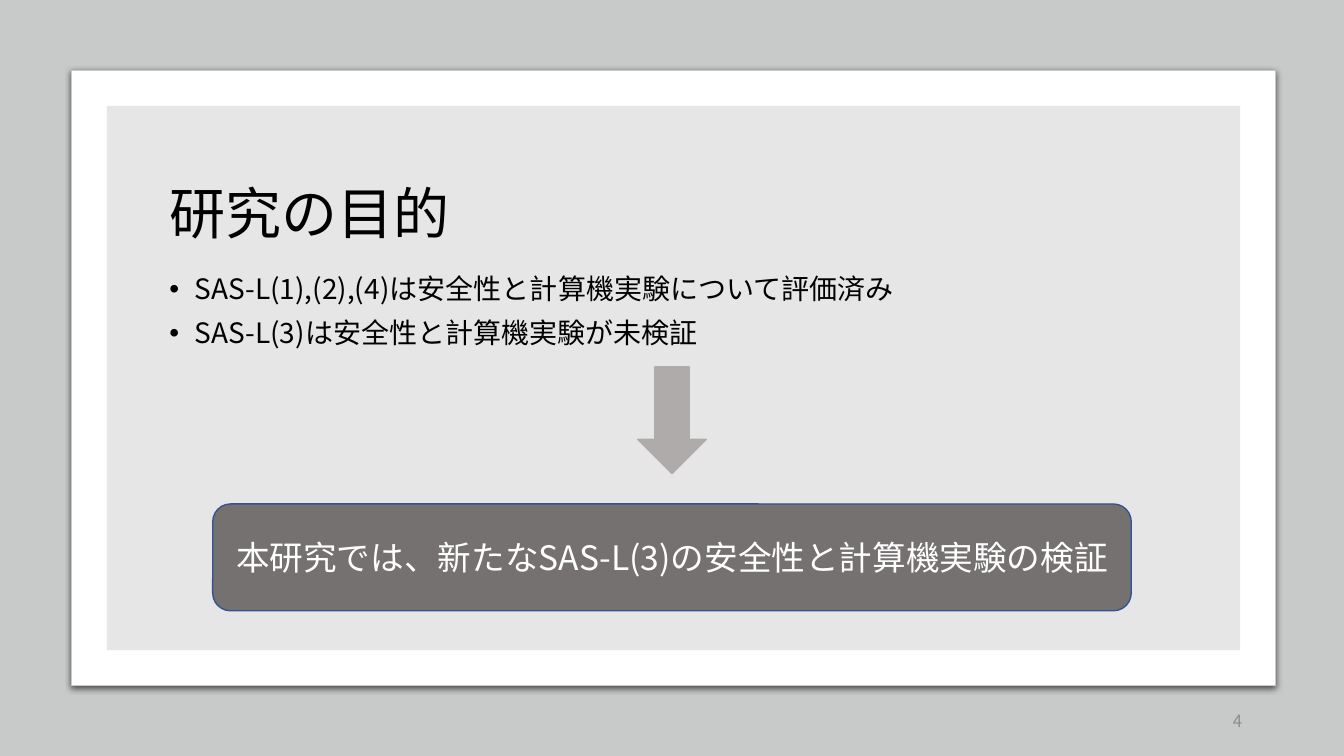
"""Build the research purpose slide: framed panel, two findings, an arrow and the conclusion."""
from lxml import etree
from pptx import Presentation, util as u
from pptx.dml.color import RGBColor
from pptx.enum import shapes, text
from pptx.oxml.ns import qn

TITLE = "研究の目的"
FINDINGS = [
    "SAS-L(1),(2),(4)は安全性と計算機実験について評価済み",
    "SAS-L(3)は安全性と計算機実験が未検証",
]
CONCLUSION = "本研究では、新たなSAS-L(3)の安全性と計算機実験の検証"
PAGE = "4"
FONT = "Noto Sans CJK JP"
W, H = 13.33, 7.5
INSET = 0.35
FRAME = (0.71, 0.7, 11.94, 6.1)
PANEL = (FRAME[0] + INSET, FRAME[1] + INSET, FRAME[2] - 2 * INSET, FRAME[3] - 2 * INSET)
TEXT_LEFT, TEXT_W, TEXT_H = 1.58, 10.23, 1.14
BOX_W, ARROW_W, BLOCK_H = 9.11, 0.68, 1.06
KIND = shapes.MSO_SHAPE
ALIGN = text.PP_ALIGN


def color(value):
    return RGBColor.from_string(value)


def place(sp, box):
    for name, value in zip(("left", "top", "width", "height"), box):
        setattr(sp, name, u.Inches(value))


def add_block(s, kind, box, fill, line=None, width=1):
    sp = s.shapes.add_shape(kind, *map(u.Inches, box))
    sp.shadow.inherit = False
    sp.fill.solid()
    sp.fill.fore_color.rgb = color(fill)
    if line:
        sp.line.color.rgb = color(line)
        sp.line.width = u.Pt(width)
    else:
        sp.line.fill.background()
    return sp


def add_shadow(sp):
    effects = sp._element.spPr.find(qn("a:effectLst"))
    shadow = etree.SubElement(effects, qn("a:outerShdw"), blurRad=str(u.Pt(4.5)),
                              dist=str(u.Pt(1.5)), dir="5400000", algn="t", rotWithShape="0")
    black = etree.SubElement(shadow, qn("a:srgbClr"), val="000000")
    etree.SubElement(black, qn("a:alpha"), val="63000")


def write(sp, lines, size, fill, align, anchor="MIDDLE", bullet=False, spacing=1.0):
    tf = sp.text_frame
    frame_format = {"word_wrap": True, "auto_size": text.MSO_AUTO_SIZE.NONE,
                    "vertical_anchor": getattr(text.MSO_ANCHOR, anchor)}
    for name, value in frame_format.items():
        setattr(tf, name, value)
    for i, line in enumerate(lines):
        p = tf.paragraphs[0] if i == 0 else tf.add_paragraph()
        if bullet:
            pPr = p._p.get_or_add_pPr()
            pPr.set("marL", str(u.Inches(0.25)))
            pPr.set("indent", str(u.Inches(-0.25)))
            etree.SubElement(pPr, qn("a:buFont"), typeface="Arial")
            etree.SubElement(pPr, qn("a:buChar"), char="•")
        para_format = {"alignment": align, "line_spacing": spacing,
                       "space_before": u.Pt(10 if i else 0)}
        for name, value in para_format.items():
            setattr(p, name, value)
        r = p.add_run()
        r.text = line
        r.font.name, r.font.size = FONT, u.Pt(size)
        r.font.color.rgb = color(fill)
        etree.SubElement(r.font._element, qn("a:ea"), typeface=FONT)


def main():
    prs = Presentation()
    prs.slide_width, prs.slide_height = u.Inches(W), u.Inches(H)
    s = prs.slides.add_slide(prs.slide_layouts[1])
    title, body = s.placeholders

    add_block(s, KIND.RECTANGLE, (0, 0, W, H), "C8CACA")
    frame = add_block(s, KIND.ROUNDED_RECTANGLE, FRAME, "FFFFFF", "C8CACA", 0.75)
    frame.adjustments[0] = 0
    add_shadow(frame)
    add_block(s, KIND.RECTANGLE, PANEL, "E7E6E6")

    for sp, top in ((title, 1.58), (body, 2.68)):
        place(sp, (TEXT_LEFT, top, TEXT_W, TEXT_H))
        s.shapes._spTree.append(sp._element)
    write(title, [TITLE], 40, "000000", ALIGN.LEFT, spacing=0.9)
    write(body, FINDINGS, 20, "000000", ALIGN.LEFT, "TOP", bullet=True, spacing=0.9)

    box = add_block(s, KIND.ROUNDED_RECTANGLE, ((W - BOX_W) / 2, 5, BOX_W, BLOCK_H),
                    "767171", "325491")
    write(box, [CONCLUSION], 24, "FFFFFF", ALIGN.CENTER)
    add_block(s, KIND.DOWN_ARROW, ((W - ARROW_W) / 2, 3.64, ARROW_W, BLOCK_H),
              "AFABAB", "AFABAB")

    number = s.shapes.add_textbox(*map(u.Inches, (9.42, 6.95, 3, 0.4)))
    write(number, [PAGE], 12, "8C8C8C", ALIGN.RIGHT)
    prs.save("out.pptx")


if __name__ == "__main__":
    main()
